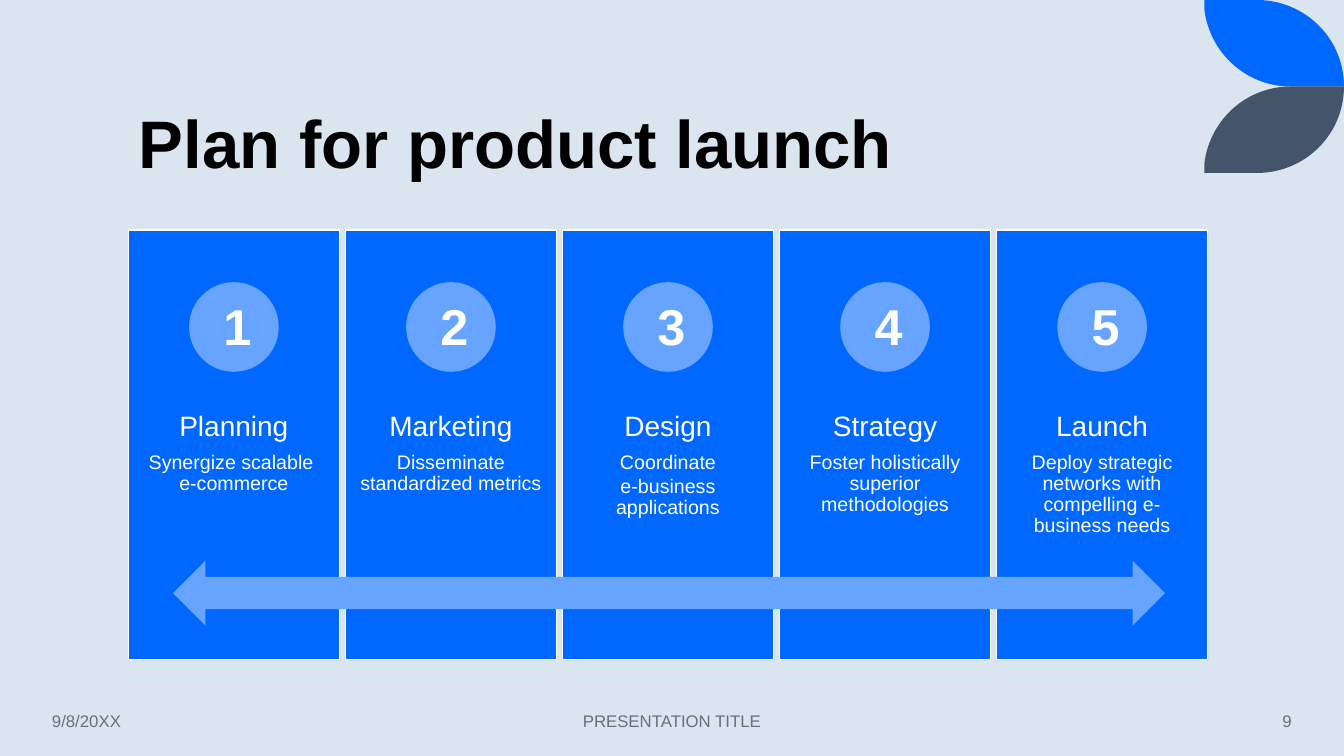
from lxml.etree import SubElement
from pptx import Presentation
from pptx.dml.color import RGBColor
from pptx.enum.shapes import MSO_SHAPE as Preset
from pptx.enum.text import MSO_ANCHOR as Anchor, PP_ALIGN as Align
from pptx.oxml.ns import qn
from pptx.util import Cm, Pt

COLORS = {
    "background": "DAE5EF",
    "blue": "0068FF",
    "light_blue": "66A4FF",
    "slate": "44546A",
    "white": "FFFFFF",
    "black": "000000",
    "footer": "637183",
}

# Heading and details of each step; \v is a line break
STEPS = [
    ("Planning", ["Synergize scalable \ve-commerce"]),
    ("Marketing", ["Disseminate standardized metrics"]),
    ("Design", ["Coordinate", "e-business applications"]),
    ("Strategy", ["Foster holistically superior methodologies"]),
    ("Launch", ["Deploy strategic networks with compelling e-business needs"]),
]

FIRST_LEFT, STEP_PITCH, CARD_WIDTH = 3.24, 5.47, 5.31
CIRCLE_SIZE = 2.26

# Leaf outline: a line, a curve (two controls and an end), a line, a curve
LEAF_LEFT, LEAF_HEIGHT = 30.35, 2.18
LEAF = [
    (0, 0),
    (1.32, 0),
    (2.54, 0), (3.52, 0.97), (3.52, LEAF_HEIGHT),
    (2.18, LEAF_HEIGHT),
    (1.04, LEAF_HEIGHT), (0.13, 1.32), (0, 0.23),
]
LEAF_CURVES = (1, 5)


def rgb(color):
    return RGBColor.from_string(COLORS[color])


def paint(shape, fill, line=None):
    shape.shadow.inherit = False
    shape.fill.solid()
    shape.fill.fore_color.rgb = rgb(fill)
    if line:
        shape.line.color.rgb = rgb(line)
        shape.line.width = Pt(1)
    else:
        shape.line.fill.background()


def add_preset(slide, preset, box, fill, line=None):
    shape = slide.shapes.add_shape(preset, *map(Cm, box))
    paint(shape, fill, line)


def format_paragraph(paragraph, size, color, bold=False, align=Align.LEFT):
    paragraph.alignment = align
    for run in paragraph.runs:
        run.font.name = "Arial"
        run.font.size = Pt(size)
        run.font.bold = bold
        run.font.color.rgb = rgb(color)


def add_label(slide, box, text, size, color, bold=False, align=Align.LEFT,
              anchor=Anchor.TOP):
    frame = slide.shapes.add_textbox(*map(Cm, box)).text_frame
    frame.word_wrap = True
    frame.vertical_anchor = anchor
    frame.text = text
    format_paragraph(frame.paragraphs[0], size, color, bold, align)
    return frame


def bend(leaf, first_segments):
    """Turn each run of three straight segments into one cubic curve."""
    segments = list(leaf.element.iter(qn("a:lnTo")))
    for first in first_segments:
        outline = segments[first].getparent()
        curve = SubElement(outline, qn("a:cubicBezTo"))
        segments[first].addprevious(curve)
        for segment in segments[first:first + 3]:
            curve.append(segment[0])
            outline.remove(segment)


def add_leaf(slide, fill, mirrored=False):
    outline = [(x, 2 * LEAF_HEIGHT - y if mirrored else y) for x, y in LEAF]
    points = [(Cm(LEAF_LEFT + x), Cm(y)) for x, y in outline]
    builder = slide.shapes.build_freeform(*points[0])
    builder.add_line_segments(points[1:], close=True)
    leaf = builder.convert_to_shape()
    bend(leaf, LEAF_CURVES)
    paint(leaf, fill)


def add_card(slide, left, heading, details):
    add_preset(slide, Preset.RECTANGLE, (left, 5.8, CARD_WIDTH, 10.82), "blue", "white")
    frame = add_label(slide, (left, 10.11, CARD_WIDTH, 4.32), heading, 20, "white",
                      align=Align.CENTER)
    frame.margin_left = frame.margin_right = Cm(0.28)
    frame.margin_top = frame.margin_bottom = Cm(0.28)
    frame.paragraphs[0].space_after = Pt(7)
    for detail in details:
        paragraph = frame.add_paragraph()
        paragraph.text = detail
        paragraph.space_after = Pt(2)
        format_paragraph(paragraph, 14, "white", align=Align.CENTER)
    for paragraph in frame.paragraphs:
        paragraph.line_spacing = 0.9
    circle_left = left + (CARD_WIDTH - CIRCLE_SIZE) / 2
    add_preset(slide, Preset.OVAL, (circle_left, 7.11, CIRCLE_SIZE, CIRCLE_SIZE),
               "light_blue")


def main():
    prs = Presentation()
    prs.slide_width, prs.slide_height = Cm(33.87), Cm(19.05)
    slide = prs.slides.add_slide(prs.slide_layouts[6])
    slide.background.fill.solid()
    slide.background.fill.fore_color.rgb = rgb("background")

    # Corner leaves
    add_leaf(slide, "blue")
    add_leaf(slide, "slate", mirrored=True)

    # Title
    title = add_label(slide, (3.25, 0.38, 27.15, 4.37), "Plan for product launch", 48,
                      "black", bold=True, anchor=Anchor.BOTTOM)
    title.paragraphs[0].line_spacing = 0.9

    # Step cards, the arrow across them, then the numbers
    lefts = [FIRST_LEFT + i * STEP_PITCH for i in range(len(STEPS))]
    for left, (heading, details) in zip(lefts, STEPS):
        add_card(slide, left, heading, details)
    add_preset(slide, Preset.LEFT_RIGHT_ARROW, (4.36, 14.13, 25, 1.63), "light_blue")
    for number, left in enumerate(lefts, start=1):
        add_label(slide, (left + 2.14, 7.32, 0.97, 1.8), str(number), 36, "white",
                  bold=True, align=Align.CENTER)

    # Footer
    for left, width, text, align in (
        (1.06, 4.72, "9/8/20XX", Align.LEFT),
        (11.22, 11.43, "PRESENTATION TITLE", Align.CENTER),
        (28.2, 4.6, "9", Align.RIGHT),
    ):
        add_label(slide, (left, 17.65, width, 1.02), text, 12, "footer",
                  align=align, anchor=Anchor.MIDDLE)

    prs.save("out.pptx")


if __name__ == "__main__":
    main()
